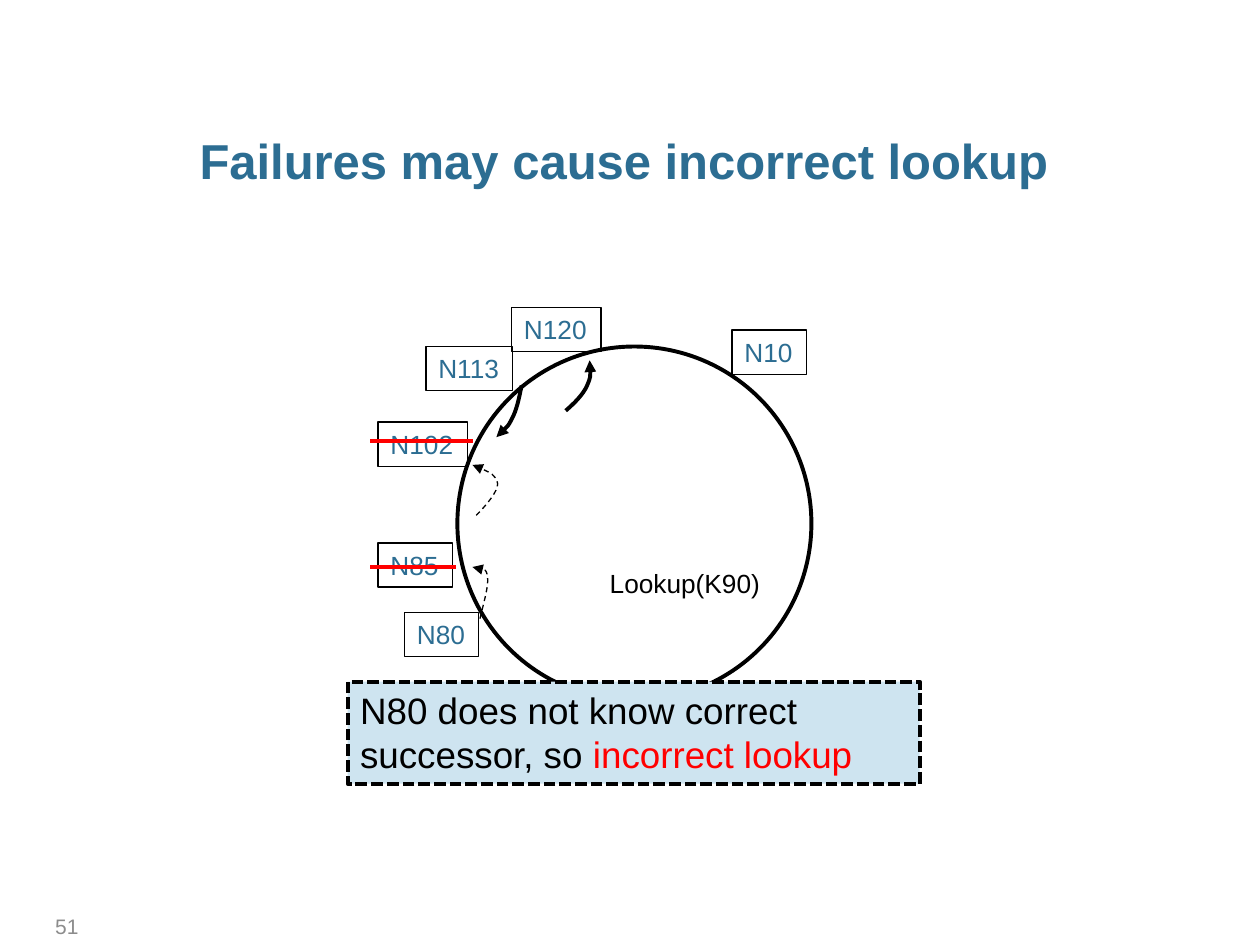
import pptx
import pptx.dml.color
import pptx.enum.dml
import pptx.enum.shapes
import pptx.enum.text
import pptx.oxml.ns
import pptx.util
from lxml import etree

RGB = pptx.dml.color.RGBColor
BLACK = RGB(0, 0, 0)
RED = RGB(0xFF, 0, 0)
BLUE = RGB(0x2C, 0x6D, 0x92)
PALE = RGB(0xCE, 0xE4, 0xF0)
GREY = RGB(0x8C, 0x8C, 0x8C)
SHAPE = pptx.enum.shapes.MSO_SHAPE
DASH = pptx.enum.dml.MSO_LINE
ALIGN = pptx.enum.text.PP_ALIGN
ANCHOR = pptx.enum.text.MSO_ANCHOR
qn = pptx.oxml.ns.qn


class Sketch:
    """Draws styled elements on one slide, measured on a grid of 100 columns by 75 rows."""

    font = "Arial"
    columns, rows = 100, 75

    def __init__(self, prs):
        self.s = prs.slides.add_slide(prs.slide_layouts[6])
        self.col = prs.slide_width / self.columns
        self.row = prs.slide_height / self.rows

    def at(self, *lengths):
        units = (self.col, self.row) * 2
        return [round(n * unit) for n, unit in zip(lengths, units)]

    def outline(self, shape, color, width, dash=None):
        shape.line.color.rgb = color
        shape.line.width = pptx.util.Pt(width)
        if dash:
            shape.line.dash_style = dash

    def label(self, shape, runs, size, align=ALIGN.LEFT, anchor=ANCHOR.TOP, wrap=True, bold=False):
        tf = shape.text_frame
        tf.word_wrap = wrap
        tf.vertical_anchor = anchor
        p = tf.paragraphs[0]
        p.alignment = align
        p.font.name, p.font.size, p.font.bold = self.font, pptx.util.Pt(size), bold
        for text, color in runs:
            r = p.add_run()
            r.text = text
            r.font.color.rgb = color
        return tf

    def text(self, box, text, size, color, **style):
        return self.label(self.s.shapes.add_textbox(*self.at(*box)), [(text, color)], size, **style)

    def shape(self, kind, box, width, fill=None, dash=None):
        sp = self.s.shapes.add_shape(kind, *self.at(*box))
        sp.shadow.inherit = False
        if fill:
            sp.fill.solid()
            sp.fill.fore_color.rgb = fill
        else:
            sp.fill.background()
        self.outline(sp, BLACK, width, dash)
        return sp

    def node(self, name, left, top, width):
        sp = self.shape(SHAPE.RECTANGLE, (left, top, width, 3.5), 0.75)
        self.label(sp, [(name, BLUE)], 15, wrap=False)

    def strike(self, left, right, y):
        line = self.s.shapes.add_connector(
            pptx.enum.shapes.MSO_CONNECTOR.STRAIGHT, *self.at(left, y, right, y))
        self.outline(line, RED, 2.25)
        etree.SubElement(line._element.spPr, qn("a:effectLst"))

    def arrow(self, points, width, dash=None):
        start, *rest = [self.at(*point) for point in points]
        builder = self.s.shapes.build_freeform(*start)
        builder.add_line_segments(rest, close=False)
        sp = builder.convert_to_shape()
        outline = next(sp._element.iter(qn("a:path")))
        steps = outline.findall(qn("a:lnTo"))
        for i in range(0, len(steps), 3):
            curve = etree.SubElement(outline, qn("a:cubicBezTo"))
            for step in steps[i:i + 3]:
                curve.append(step[0])
                outline.remove(step)
        sp.shadow.inherit = False
        sp.fill.background()
        self.outline(sp, BLACK, width, dash)
        etree.SubElement(sp._element.spPr.find(qn("a:ln")), qn("a:tailEnd"), type="triangle")


def main():
    prs = pptx.Presentation()
    prs.slide_width = pptx.util.Inches(10)
    prs.slide_height = pptx.util.Inches(7.5)
    sketch = Sketch(prs)

    sketch.text((3.4, 72.1, 73.7, 2.8), "51", 12, GREY, anchor=ANCHOR.MIDDLE)
    tf = sketch.text((13.4, 10.2, 72.2, 9.4), "Failures may cause incorrect lookup",
                     28, BLUE, align=ALIGN.CENTER, bold=True)
    tf.margin_left = tf.margin_right = 0
    tf.paragraphs[0].line_spacing = 0.95

    sketch.shape(SHAPE.OVAL, (36.3, 27.5, 28.1, 28.1), 2.25)
    for name, left, top, width in [
        ("N120", 40.6, 24.4, 7.1),
        ("N113", 33.8, 27.5, 6.9),
        ("N102", 30, 33.5, 7.1),
        ("N80", 32.1, 48.6, 5.9),
        ("N85", 30, 43.1, 5.9),
        ("N10", 58.1, 26.2, 5.9),
    ]:
        sketch.node(name, left, top, width)
    sketch.strike(29.4, 36.2, 45)
    sketch.strike(29.4, 37.5, 35)

    for points, width, dash in [
        ([(38.1, 49.1), (38.4, 47.8), (38.8, 46.5), (38.7, 45.8),
          (38.6, 45.1), (38, 45.1), (37.5, 45)], 0.75, DASH.DASH),
        ([(37.8, 40.9), (38.7, 40), (39.5, 39), (39.5, 38.4),
          (39.4, 37.7), (38.5, 37.3), (37.5, 36.9)], 0.75, DASH.DASH),
        ([(44.9, 32.6), (45.6, 32), (46.3, 31.3), (46.6, 30.6),
          (46.9, 29.9), (46.9, 29.3), (46.8, 28.6)], 2.25, None),
        ([(41.4, 30.6), (41.2, 31.6), (41, 32.6), (40.6, 33.3),
          (40.3, 33.9), (39.8, 34.3), (39.4, 34.7)], 2.25, None),
    ]:
        sketch.arrow(points, width, dash)

    callout = sketch.shape(SHAPE.RECTANGLE, (27.6, 54.1, 45.4, 8.1), 2.25, PALE, DASH.SQUARE_DOT)
    sketch.label(callout, [("N80 does not know correct successor, so ", BLACK),
                           ("incorrect lookup", RED)], 21)
    sketch.text((47.3, 44.5, 14.1, 3.5), "Lookup(K90)", 15, BLACK,
                align=ALIGN.CENTER, wrap=False)

    prs.save("out.pptx")


if __name__ == "__main__":
    main()
